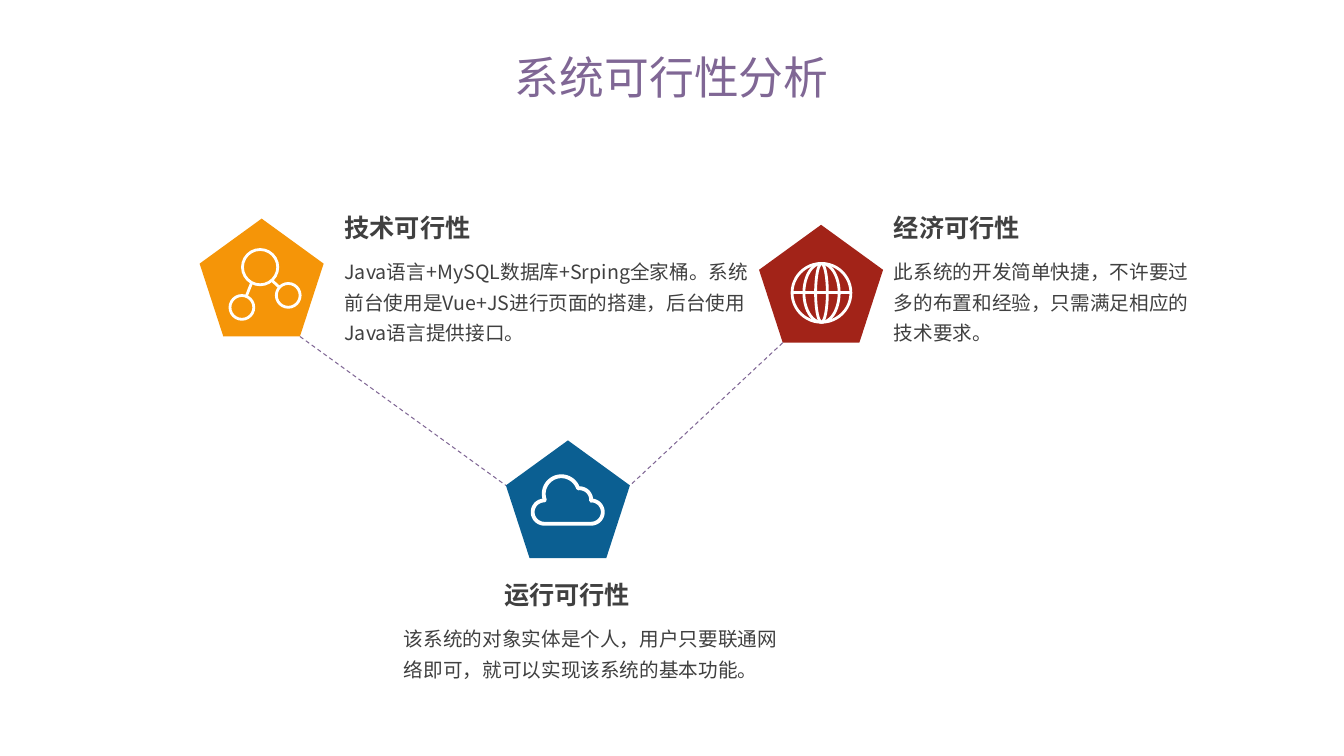
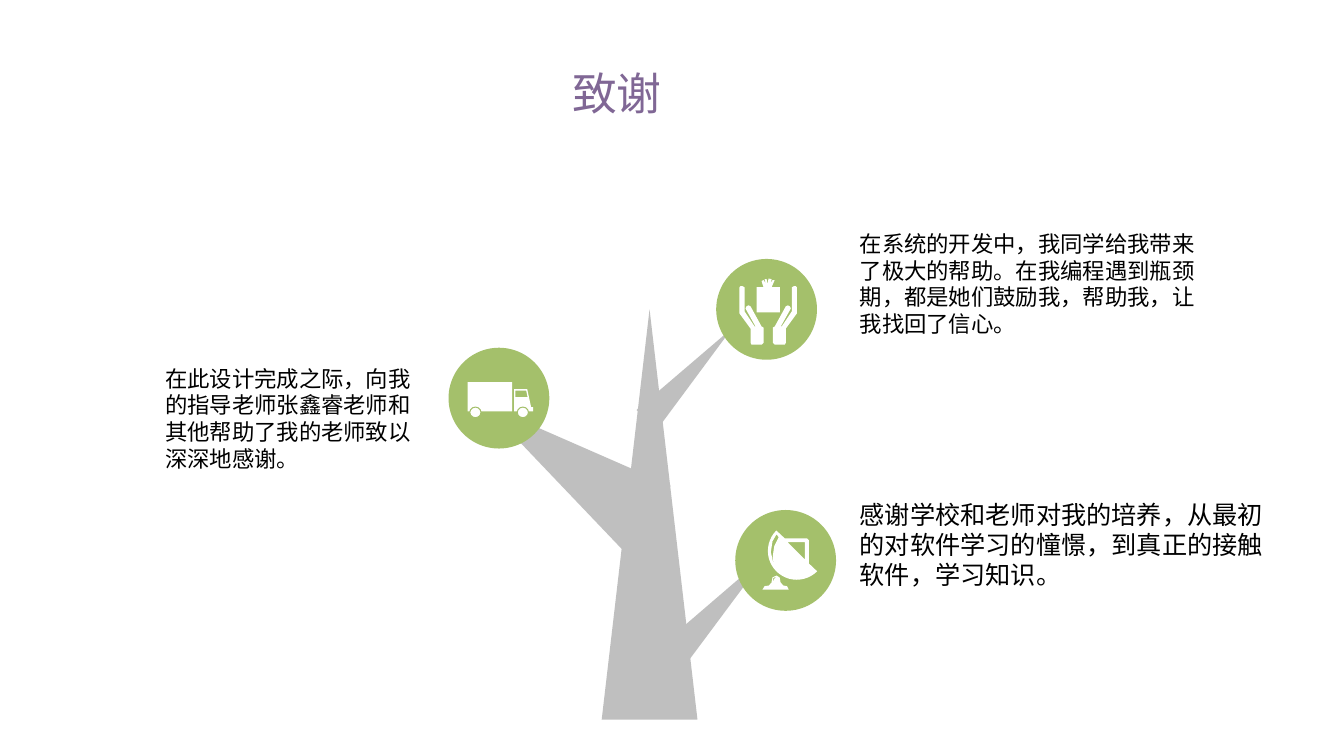
from dataclasses import dataclass
from math import cos, radians, sin
from typing import NamedTuple

from lxml import etree
from pptx import Presentation
from pptx.dml.color import RGBColor
from pptx.enum.dml import MSO_LINE
from pptx.enum.shapes import MSO_CONNECTOR, MSO_SHAPE
from pptx.enum.text import MSO_ANCHOR, MSO_AUTO_SIZE, PP_ALIGN
from pptx.oxml.ns import qn
from pptx.util import Pt

PENTAGON = MSO_SHAPE.REGULAR_PENTAGON
OVAL = MSO_SHAPE.OVAL
TRIANGLE = MSO_SHAPE.ISOSCELES_TRIANGLE
RECTANGLE = MSO_SHAPE.RECTANGLE
STRAIGHT = MSO_CONNECTOR.STRAIGHT
DASH = MSO_LINE.DASH
LEFT, CENTER, RIGHT = PP_ALIGN.LEFT, PP_ALIGN.CENTER, PP_ALIGN.RIGHT
TOP, BOTTOM = MSO_ANCHOR.TOP, MSO_ANCHOR.BOTTOM
GROW = MSO_AUTO_SIZE.SHAPE_TO_FIT_TEXT

COLORS = {
    "purple": "806795", "orange": "F59508", "red": "A22318", "blue": "0B5F92",
    "dark": "404040", "black": "000000", "white": "FFFFFF",
    "green": "A4C06B", "gray": "BFBFBF",
}
SANS_SC, SANS_JP = "Noto Sans CJK SC", "Noto Sans CJK JP"
PENTAGON_WIDTH, PENTAGON_HEIGHT = 88.6, 84.2
PENTAGON_SIDE = 0.382  # height share of the side corners
PENTAGON_FOOT = 0.191  # width share of the lower left corner
CIRCLE_SIZE = 72
ICON_LINE = 2

Point = tuple[float, float]
Contour = list[Point]


class Box(NamedTuple):
    left: float
    top: float
    width: float
    height: float


@dataclass(frozen=True)
class TextStyle:
    size: float
    color: str
    latin: str
    east_asian: str
    bold: bool = False
    align: PP_ALIGN = LEFT
    spacing: float = 1.0
    anchor: MSO_ANCHOR = TOP


@dataclass(frozen=True)
class Topic:
    heading: str
    body: str
    color: str
    pentagon: Point
    heading_box: Box
    body_box: Box
    align: PP_ALIGN = LEFT


@dataclass(frozen=True)
class Branch:
    box: Box
    rotation: float = 0


@dataclass(frozen=True)
class Thanks:
    words: str
    box: Box
    size: float
    circle: Point


TITLE = TextStyle(32, "purple", SANS_SC, SANS_SC, align=CENTER, spacing=0.9, anchor=BOTTOM)
BODY = TextStyle(14, "dark", SANS_JP, SANS_JP, spacing=1.3)

TOPICS = [
    Topic("技术可行性",
          "Java语言+MySQL数据库+Srping全家桶。系统前台使用是Vue+JS进行页面的搭建，后台使用Java语言提供接口。",
          "orange", (142.6, 156.2), Box(239, 148.3, 175.7, 29), Box(239, 177.1, 303.8, 73.4)),
    Topic("经济可行性",
          "此系统的开发简单快捷，不许要过多的布置和经验，只需满足相应的技术要求。",
          "red", (542.2, 160.6), Box(631.4, 148.3, 175.7, 29), Box(631.4, 177.1, 231.8, 73.4)),
    Topic("运行可行性",
          "该系统的对象实体是个人，用户只要联通网络即可，就可以实现该系统的基本功能。",
          "blue", (361.4, 314.6), Box(281.5, 410.4, 175.7, 29), Box(281.5, 439.2, 283.7, 51.1), RIGHT),
]

BRANCHES = [
    Branch(Box(429.8, 221, 68.4, 293)),
    Branch(Box(500.4, 380.9, 23.8, 107.3), 43),
    Branch(Box(375.1, 257.8, 57.6, 143.3), 305),
    Branch(Box(482.4, 222.5, 20.2, 89.3), 43),
]

THANKS = [
    Thanks("在此设计完成之际，向我的指导老师张鑫睿老师和其他帮助了我的老师致以深深地感谢。",
           Box(110.9, 257, 203, 85), 16, (320.4, 248.4)),
    Thanks("在系统的开发中，我同学给我带来了极大的帮助。在我编程遇到瓶颈期，都是她们鼓励我，帮助我，让我找回了信心。",
           Box(607, 160.6, 254.9, 104.4), 16, (511.6, 185)),
    Thanks("感谢学校和老师对我的培养，从最初的对软件学习的憧憬，到真正的接触软件，学习知识。",
           Box(607, 352.8, 317.5, 94.3), 18, (525.2, 364.3)),
]


def rgb(name: str) -> RGBColor:
    return RGBColor.from_string(COLORS[name])


def paint(shape, fill: str | None, line: str | None = None, width: float = 1) -> None:
    shape.shadow.inherit = False
    if fill:
        shape.fill.solid()
        shape.fill.fore_color.rgb = rgb(fill)
    else:
        shape.fill.background()
    if line:
        shape.line.color.rgb = rgb(line)
        shape.line.width = Pt(width)
    else:
        shape.line.fill.background()


def add_figure(page, kind, box: Box, fill: str | None, line: str | None = None,
               width: float = 1, rotation: float = 0) -> None:
    shape = page.shapes.add_shape(kind, *map(Pt, box))
    shape.rotation = rotation
    paint(shape, fill, line, width)


def add_ring(page, center: Point, radius_x: float, radius_y: float) -> None:
    box = Box(center[0] - radius_x, center[1] - radius_y, 2 * radius_x, 2 * radius_y)
    add_figure(page, OVAL, box, None, "white", ICON_LINE)


def add_line(page, start: Point, end: Point, color: str, width: float, dash=None) -> None:
    line = page.shapes.add_connector(STRAIGHT, *map(Pt, (*start, *end)))
    line.line.color.rgb = rgb(color)
    line.line.width = Pt(width)
    if dash:
        line.line.dash_style = dash
    etree.SubElement(line._element.spPr, qn("a:effectLst"))


def add_text(page, words: str, box: Box, style: TextStyle) -> None:
    frame = page.shapes.add_textbox(*map(Pt, box)).text_frame
    frame_format = {"word_wrap": True, "vertical_anchor": style.anchor}
    if style.anchor == TOP:
        frame_format["auto_size"] = GROW
    para = frame.paragraphs[0]
    span = para.add_run()
    formats = [
        (frame, frame_format),
        (para, {"alignment": style.align, "line_spacing": style.spacing}),
        (span, {"text": words}),
        (span.font, {"size": Pt(style.size), "bold": style.bold, "name": style.latin}),
    ]
    for target, values in formats:
        for name, value in values.items():
            setattr(target, name, value)
    span.font.color.rgb = rgb(style.color)
    properties = span._r.get_or_add_rPr()
    properties.set("lang", "zh-CN")
    etree.SubElement(properties, qn("a:ea"), typeface=style.east_asian)


def shifted(origin: Point, x: float, y: float) -> Point:
    return origin[0] + x, origin[1] + y


def arc(x: float, y: float, radius: float, start: int, end: int) -> Contour:
    """Points on a circle, with angles in degrees running clockwise."""
    steps = 24
    angles = [radians(start + (end - start) * step / steps) for step in range(steps + 1)]
    return [(x + radius * cos(angle), y + radius * sin(angle)) for angle in angles]


def add_outline(page, origin: Point, contours: list[Contour], fill: str | None = "white",
                line: str | None = None, width: float = 1) -> None:
    """Draw closed contours in one shape; inner contours become holes."""
    grid = 100
    scaled = [[(x * grid, y * grid) for x, y in contour] for contour in contours]
    builder = page.shapes.build_freeform(*scaled[0][0], scale=Pt(1) / grid)
    for index, contour in enumerate(scaled):
        if index:
            builder.move_to(*contour[0])
        builder.add_line_segments(contour[1:], close=True)
    paint(builder.convert_to_shape(*map(Pt, origin)), fill, line, width)


def draw_molecule(page, origin: Point) -> None:
    for x, y, radius in [(43.2, 34.6, 12.6), (30.2, 63.4, 8.5), (63.3, 54.8, 8.5)]:
        add_ring(page, shifted(origin, x, y), radius, radius)
    for start, end in [((37, 46.2), (33.5, 55)), ((51.5, 44), (57, 49))]:
        add_line(page, shifted(origin, *start), shifted(origin, *end), "white", ICON_LINE)


def draw_globe(page, origin: Point) -> None:
    radius = 21
    center = shifted(origin, 44.6, 48.6)
    for radius_x in (radius, 12.6, 4.2):
        add_ring(page, center, radius_x, radius)
    add_line(page, shifted(center, -radius, 0), shifted(center, radius, 0), "white", ICON_LINE)


def draw_cloud(page, origin: Point) -> None:
    bumps = [(27.4, 51.2, 8.3, 90, 270), (39.6, 38.2, 12.6, 160, 340),
             (52.6, 42.5, 8.3, 263, 365), (60.9, 51.2, 8.3, 270, 450)]
    cloud = [point for bump in bumps for point in arc(*bump)]
    add_outline(page, origin, [cloud], None, "white", 2.75)


def draw_truck(page, origin: Point) -> None:
    add_figure(page, RECTANGLE, Box(*shifted(origin, 13.7, 24.5), 31.7, 20.9), "white")
    cab = [(46.8, 29.5), (56.2, 29.5), (59, 42.5), (60.5, 42.5), (60.5, 45.4), (46.8, 45.4)]
    window = [(47.7, 30.7), (55.5, 30.7), (56.5, 35.3), (47.7, 35.3)]
    add_outline(page, origin, [cab, window])
    for x in (15.2, 49.1):
        add_figure(page, OVAL, Box(*shifted(origin, x, 42.4), 8, 7.6), "white", "green", 0.75)


def draw_gift(page, origin: Point) -> None:
    gift = [(28.8, 20.2), (33.8, 20.2), (32.4, 15.8), (33.8, 15.1), (35.3, 17.3), (34.6, 14.4),
            (36, 14.4), (36.7, 18), (37.4, 14), (39.6, 14.4), (38.9, 17.3), (40.3, 15.1),
            (41.8, 15.1), (39.6, 20.2), (45.4, 20.2), (45.4, 38.2), (28.8, 38.2)]
    hand = [(32.4, 48.2), (24.5, 33.8), (23, 33.1), (21.6, 33.8), (20.9, 35.3), (28.1, 48.2),
            (27.4, 48.2), (20.2, 37.4), (20.2, 20.2), (18.7, 19.4), (17.3, 19.4), (16.6, 20.2),
            (16.6, 38.9), (24.5, 49.7), (24.5, 59.8), (25.2, 61.2), (32.4, 61.2), (33.8, 59.8),
            (33.8, 49)]
    axis = 37.1
    other_hand = [(2 * axis - x, y) for x, y in hand]
    for contour in (gift, hand, other_hand):
        add_outline(page, origin, [contour])


def draw_dish(page, origin: Point) -> None:
    dish = arc(43.9, 29.2, 20.6, 225, 45) + [(52.6, 38.2), (52.6, 21.6), (51.1, 20.2), (35.3, 20.2)]
    rim = [(27.4, 38.9), (25.4, 30), (26.6, 22.3), (29.5, 17.3), (31, 19.4), (27.8, 26), (26.8, 33)]
    window = [(37.4, 23), (49.7, 23), (49.7, 35.3)]
    foot = [(19.4, 56.9), (21, 54.4), (24, 54), (25.9, 51.8), (26.6, 48.2), (29.5, 46.8),
            (31.7, 48.2), (32.4, 51.8), (34.4, 54), (37, 54.4), (38.2, 56.9)]
    slit = [(26.6, 51.8), (27.2, 48.6), (29.5, 47.5), (28, 49)]
    add_outline(page, origin, [dish, rim, window])
    add_outline(page, origin, [foot, slit])


def add_page(deck, title: str, box: Box):
    page = deck.slides.add_slide(deck.slide_layouts[6])
    add_text(page, title, box, TITLE)
    return page


def build_feasibility(deck) -> None:
    page = add_page(deck, "系统可行性分析", Box(258.5, 11.5, 442.8, 66.2))
    for topic, draw_icon in zip(TOPICS, (draw_molecule, draw_globe, draw_cloud)):
        heading = TextStyle(18, "dark", SANS_JP, SANS_JP, bold=True, align=topic.align)
        box = Box(*topic.pentagon, PENTAGON_WIDTH, PENTAGON_HEIGHT)
        add_figure(page, PENTAGON, box, topic.color)
        draw_icon(page, topic.pentagon)
        add_text(page, topic.heading, topic.heading_box, heading)
        add_text(page, topic.body, topic.body_box, BODY)
    technical, economic, operating = (topic.pentagon for topic in TOPICS)
    foot = PENTAGON_WIDTH * PENTAGON_FOOT
    side = PENTAGON_HEIGHT * PENTAGON_SIDE
    links = [
        (shifted(technical, PENTAGON_WIDTH - foot, PENTAGON_HEIGHT), shifted(operating, 0, side)),
        (shifted(economic, foot, PENTAGON_HEIGHT), shifted(operating, PENTAGON_WIDTH, side)),
    ]
    for start, end in links:
        add_line(page, start, end, "purple", 0.75, DASH)


def build_thanks(deck) -> None:
    page = add_page(deck, "致谢", Box(302.4, 23, 276.5, 66.2))
    for branch in BRANCHES:
        add_figure(page, TRIANGLE, branch.box, "gray", rotation=branch.rotation)
    for thanks, draw_icon in zip(THANKS, (draw_truck, draw_gift, draw_dish)):
        add_figure(page, OVAL, Box(*thanks.circle, CIRCLE_SIZE, CIRCLE_SIZE), "green")
        draw_icon(page, thanks.circle)
        add_text(page, thanks.words, thanks.box, TextStyle(thanks.size, "black", "Calibri", SANS_SC))


def main() -> None:
    deck = Presentation()
    deck.slide_width, deck.slide_height = Pt(960), Pt(540)
    build_feasibility(deck)
    build_thanks(deck)
    deck.save("out.pptx")


if __name__ == "__main__":
    main()
